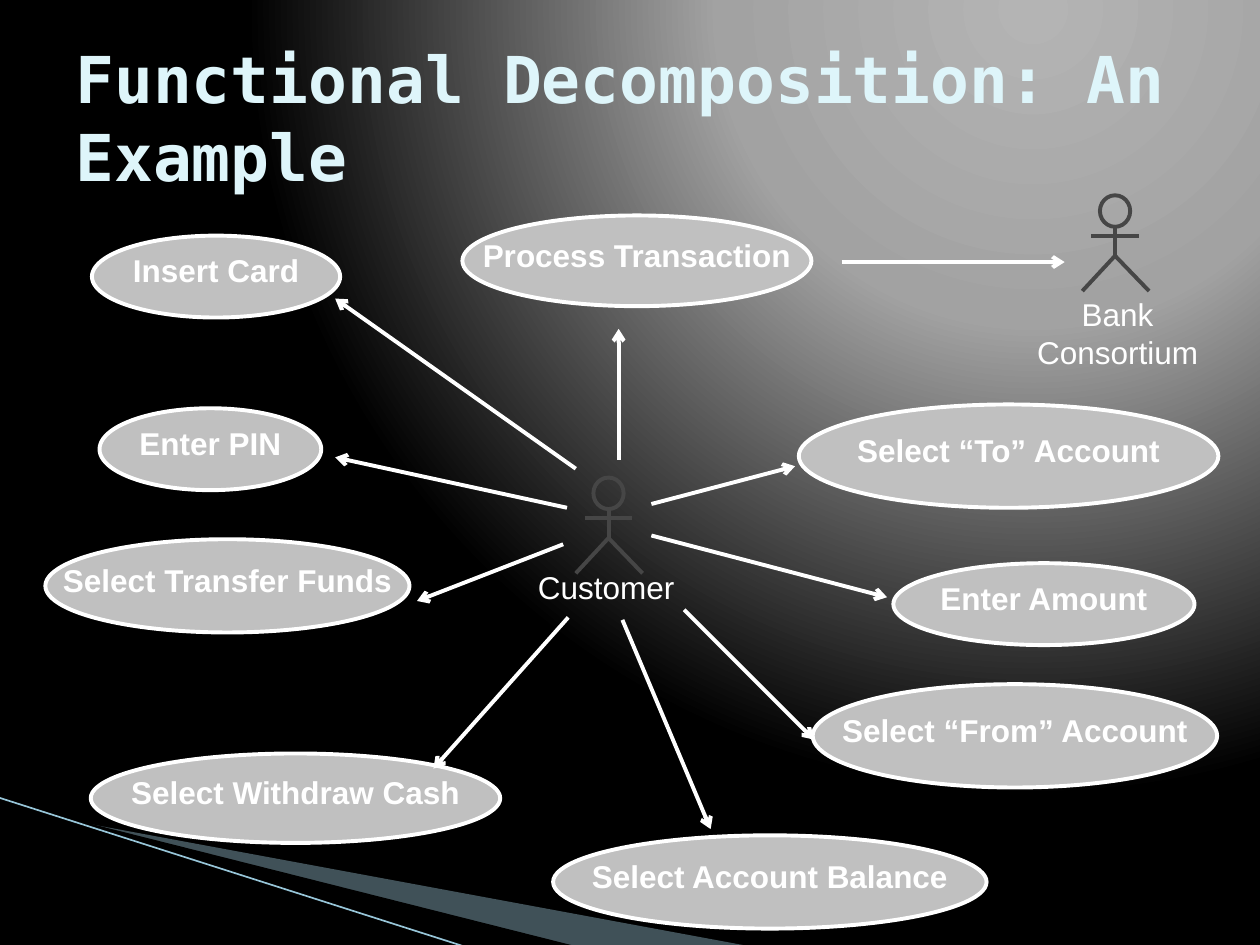
from lxml.etree import SubElement
from pptx import Presentation
from pptx.dml.color import RGBColor
from pptx.enum.shapes import MSO_CONNECTOR, MSO_SHAPE
from pptx.enum.text import MSO_ANCHOR, MSO_AUTO_SIZE, PP_ALIGN
from pptx.oxml.ns import qn
from pptx.util import Inches, Pt

COLORS = {
    "white": "FFFFFF", "black": "000000", "title": "DEF5FA", "oval": "C0C0C0",
    "actor": "464646", "wedge": "A0CBDC", "edge": "97C5D8",
}
COLORS = {name: RGBColor.from_string(value) for name, value in COLORS.items()}
LABEL = {"size": Pt(18), "name": "Arial", "bold": False}


def write(shape, text, insets, frame_format, font_format, color="white", align=PP_ALIGN.LEFT):
    frame = shape.text_frame
    sides = ("margin_left", "margin_top", "margin_right", "margin_bottom")
    for name, inset in zip(sides, insets):
        setattr(frame, name, Inches(inset))
    for name, value in frame_format.items():
        setattr(frame, name, value)
    paragraph = frame.paragraphs[0]
    paragraph.text = text
    paragraph.alignment = align
    for name, value in font_format.items():
        setattr(paragraph.font, name, value)
    paragraph.font.color.rgb = COLORS[color]


def add_line(shapes, start, end, color="white", width=2.25, arrow=False):
    line = shapes.add_connector(MSO_CONNECTOR.STRAIGHT, *map(Inches, start + end))
    line.line.color.rgb = COLORS[color]
    line.line.width = Pt(width)
    if arrow:
        SubElement(line.line._get_or_add_ln(), qn("a:tailEnd"), type="arrow")
    SubElement(line._element.spPr, qn("a:effectLst"))


presentation = Presentation()
presentation.slide_width, presentation.slide_height = Inches(10), Inches(7.5)
slide = presentation.slides.add_slide(presentation.slide_layouts[6])
shapes = slide.shapes

# Radial background, lit from the upper right
slide.background.fill.gradient()
gradient = slide.background._cSld.find(".//" + qn("a:gradFill"))
for child in list(gradient):
    gradient.remove(child)
stops = SubElement(gradient, qn("a:gsLst"))
for position, color in ((0, "B4B4B4"), (40, "A2A2A2"), (100, "000000")):
    stop = SubElement(stops, qn("a:gs"), pos=str(position * 1000))
    SubElement(stop, qn("a:srgbClr"), val=color)
circle = SubElement(gradient, qn("a:path"), path="circle")
SubElement(circle, qn("a:fillToRect"), l="65000", t="0", r="0", b="98000")

# Corner decoration
wedges = [
    ("wedge", 40, [(0.55, 6.51), (5.95, 7.51), (4.56, 7.51), (0.55, 6.5)]),
    ("black", 100, [(0.53, 6.49), (4.57, 7.51), (3.72, 7.52), (0.54, 6.5)]),
]
for color, opacity, points in wedges:
    corners = [(Inches(x), Inches(y)) for x, y in points]
    builder = shapes.build_freeform(*corners[0])
    builder.add_line_segments(corners[1:])
    wedge = builder.convert_to_shape()
    wedge.shadow.inherit = False
    wedge.fill.solid()
    wedge.fill.fore_color.rgb = COLORS[color]
    wedge.line.fill.background()
    if opacity < 100:
        fill_color = wedge._element.spPr.find(qn("a:solidFill"))[0]
        SubElement(fill_color, qn("a:alpha"), val=str(opacity * 1000))
add_line(shapes, (-0.01, 6.33), (3.71, 7.52), "edge", 0.95)

title = shapes.add_textbox(Inches(0.5), Inches(0.3), Inches(9), Inches(1.25))
write(title, "Functional Decomposition: An Example", (0.1, 0.05, 0.1, 0.05),
      {"word_wrap": True, "vertical_anchor": MSO_ANCHOR.MIDDLE},
      {"size": Pt(36.9), "name": "DejaVu Sans Mono", "bold": True}, "title")

# Use cases
use_cases = [
    ("Enter PIN", 0.79, 3.24, 1.76, 0.65),
    ("Insert Card", 0.73, 1.87, 1.97, 0.65),
    ("Select “From” Account", 6.45, 5.43, 3.21, 0.82),
    ("Enter Amount", 7.09, 4.47, 2.39, 0.65),
    ("Select Withdraw Cash", 0.72, 5.98, 3.25, 0.71),
    ("Select Account Balance", 4.39, 6.63, 3.44, 0.74),
    ("Select Transfer Funds", 0.36, 4.28, 2.89, 0.74),
    ("Select “To” Account", 6.34, 3.21, 3.33, 0.82),
    ("Process Transaction", 3.67, 1.71, 2.77, 0.72),
]
for text, *box in use_cases:
    oval = shapes.add_shape(MSO_SHAPE.OVAL, *map(Inches, box))
    oval.shadow.inherit = False
    oval.fill.solid()
    oval.fill.fore_color.rgb = COLORS["oval"]
    oval.line.color.rgb = COLORS["white"]
    oval.line.width = Pt(2.25)
    write(oval, text, (0.1, 0.05, 0.1, 0.15),
          {"word_wrap": False, "vertical_anchor": MSO_ANCHOR.MIDDLE},
          {**LABEL, "bold": True}, align=PP_ALIGN.CENTER)

# Actors: stick figure placed by its centre line and top, then its label
actors = [
    ("Customer", 4.83, 3.79, (4.15, 4.45, 1.44, 0.45), False, PP_ALIGN.LEFT),
    ("Bank Consortium", 8.85, 1.55, (7.92, 2.28, 1.9, 0.78), True, PP_ALIGN.CENTER),
]
for text, center, top, box, wrap, align in actors:
    figure = shapes.add_group_shape().shapes
    head = figure.add_shape(MSO_SHAPE.OVAL, Inches(center - 0.12), Inches(top),
                            Inches(0.24), Inches(0.25))
    hip = top + 0.48
    add_line(figure, (center, top + 0.25), (center, hip), "actor")
    add_line(figure, (center - 0.19, top + 0.32), (center + 0.19, top + 0.32), "actor")
    foot = Inches(hip + 0.28)
    builder = figure.build_freeform(Inches(center - 0.26), foot)
    builder.add_line_segments([(Inches(center), Inches(hip)), (Inches(center + 0.27), foot)],
                              close=False)
    legs = builder.convert_to_shape()
    for part in (head, legs):
        part.shadow.inherit = False
        part.fill.background()
        part.line.color.rgb = COLORS["actor"]
        part.line.width = Pt(2.25)
    label = shapes.add_textbox(*map(Inches, box))
    write(label, text, (0.12, 0.06, 0.12, 0.06),
          {"word_wrap": wrap, "auto_size": MSO_AUTO_SIZE.SHAPE_TO_FIT_TEXT},
          LABEL, align=align)

arrows = [
    ((4.57, 3.72), (2.66, 2.37)),
    ((4.5, 4.03), (2.66, 3.63)),
    ((4.47, 4.32), (3.31, 4.77)),
    ((4.51, 4.9), (3.44, 6.1)),
    ((4.94, 4.92), (5.64, 6.58)),
    ((5.43, 4.84), (6.46, 5.87)),
    ((5.17, 4.25), (7.04, 4.74)),
    ((5.17, 4), (6.31, 3.7)),
    ((4.91, 3.65), (4.91, 2.61)),
    ((6.68, 2.08), (8.45, 2.08)),
]
for start, end in arrows:
    add_line(shapes, start, end, arrow=True)

presentation.save("out.pptx")
